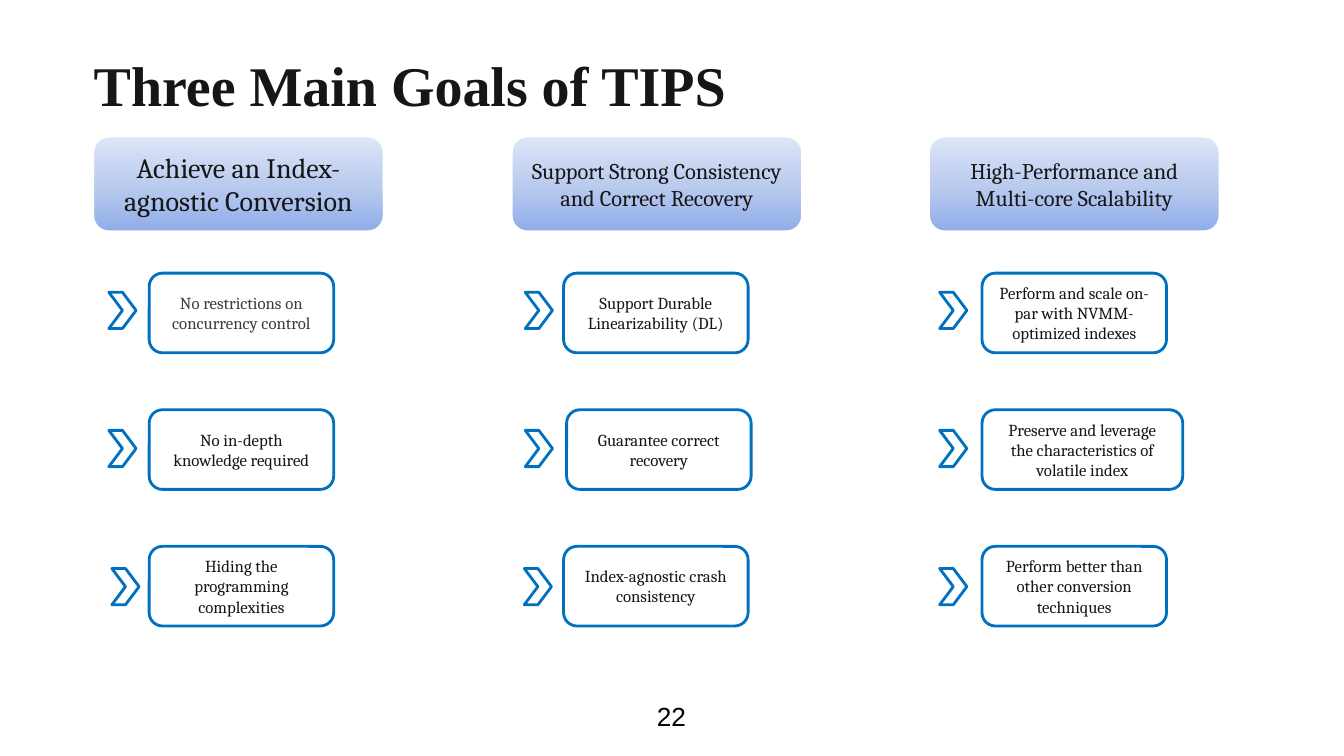
"""Build the slide on the three main goals of TIPS."""
from copy import deepcopy

from pptx import Presentation
from pptx.dml.color import RGBColor
from pptx.enum.shapes import MSO_SHAPE as Kind
from pptx.enum.text import MSO_ANCHOR as Anchor, PP_ALIGN as Align
from pptx.oxml.ns import qn
from pptx.util import Inches, Pt

HUES = {
    "white": "FFFFFF", "blue": "0070C0", "ink": "161616", "gray": "3A3C3E",
    "black": "000000", "deep": "8FADE9", "mid": "BCCCEF", "pale": "DEE6F7",
}
GOALS = [
    (0.92, 20, "Achieve an Index-agnostic Conversion", [
        (1.08, 1.48, 1.83, "gray", "No restrictions on concurrency control"),
        (1.08, 1.48, 1.83, "ink", "No in-depth knowledge required"),
        (1.11, 1.48, 1.83, "ink", "Hiding the programming complexities"),
    ]),
    (5.07, 16, "Support Strong Consistency and Correct Recovery", [
        (5.21, 5.59, 1.83, "ink", "Support Durable Linearizability (DL)"),
        (5.21, 5.62, 1.83, "ink", "Guarantee correct recovery"),
        (5.2, 5.59, 1.83, "ink", "Index-agnostic crash consistency"),
    ]),
    (9.21, 16, "High-Performance and Multi-core Scalability", [
        (9.32, 9.74, 1.83, "ink",
         "Perform and scale on-par with NVMM-optimized indexes"),
        (9.32, 9.74, 1.99, "ink",
         "Preserve and leverage the characteristics of volatile index"),
        (9.32, 9.74, 1.83, "ink",
         "Perform better than other conversion techniques"),
    ]),
]


def hue(name):
    """Return the named colour."""
    return RGBColor.from_string(HUES[name])


def write(shape, text, size, font="Cambria", color="ink", bold=False,
          align=Align.CENTER, anchor=Anchor.MIDDLE, pad=None):
    """Put formatted text into a shape."""
    frame = shape.text_frame
    frame.word_wrap = True
    frame.vertical_anchor = anchor
    if pad is not None:
        frame.margin_left = frame.margin_right = Inches(pad)
        frame.margin_top = frame.margin_bottom = Inches(pad)
    para = frame.paragraphs[0]
    para.alignment = align
    run = para.add_run()
    run.text = text
    run.font.size = Pt(size)
    run.font.name = font
    run.font.bold = bold
    run.font.color.rgb = hue(color)


def label(slide, box, text, size, **style):
    """Add a plain text box."""
    shape = slide.shapes.add_textbox(*map(Inches, box))
    write(shape, text, size, pad=0.13, **style)


def block(slide, kind, box, line="blue"):
    """Add a white outlined shape."""
    shape = slide.shapes.add_shape(kind, *map(Inches, box))
    shape.shadow.inherit = False
    shape.fill.solid()
    shape.fill.fore_color.rgb = hue("white")
    shape.line.color.rgb = hue(line)
    shape.line.width = Pt(2)
    return shape


def shade(shape):
    """Fill a shape with a three-stop gradient, deep at the bottom."""
    fill = shape.fill
    fill.gradient()
    fill.gradient_angle = 90
    stops = shape.element.spPr.find(qn("a:gradFill")).find(qn("a:gsLst"))
    stops.insert(1, deepcopy(stops[0]))
    for stop, name, place in zip(
            fill.gradient_stops, ("deep", "mid", "pale"), (0, 0.5, 1)):
        stop.color.rgb = hue(name)
        stop.position = place


def goal(slide, left, size, head, points):
    """Add one goal heading with its points below."""
    top = block(slide, Kind.ROUNDED_RECTANGLE, (left, 1.35, 2.89, 0.95),
                line="white")
    shade(top)
    write(top, head, size)
    for row, (mark, side, width, color, text) in enumerate(points):
        card = block(slide, Kind.ROUNDED_RECTANGLE,
                     (side, 2.71 + 1.355 * row, width, 0.79))
        write(card, text, 12, color=color)
        block(slide, Kind.CHEVRON, (mark, 2.9 + 1.37 * row, 0.27, 0.36))


def main():
    """Build and save the slide."""
    deck = Presentation()
    deck.slide_width, deck.slide_height = Inches(13.33), Inches(7.5)
    slide = deck.slides.add_slide(deck.slide_layouts[6])
    slide.background.fill.solid()
    slide.background.fill.fore_color.rgb = hue("white")
    label(slide, (0.8, 0.5, 10.93, 0.8), "Three Main Goals of TIPS", 40,
          font="Times New Roman", bold=True, align=Align.LEFT,
          anchor=Anchor.BOTTOM)
    label(slide, (5.86, 6.7, 1.6, 0.8), "22", 18.7, font="Arial",
          color="black")
    for item in GOALS:
        goal(slide, *item)
    deck.save("out.pptx")


if __name__ == "__main__":
    main()
